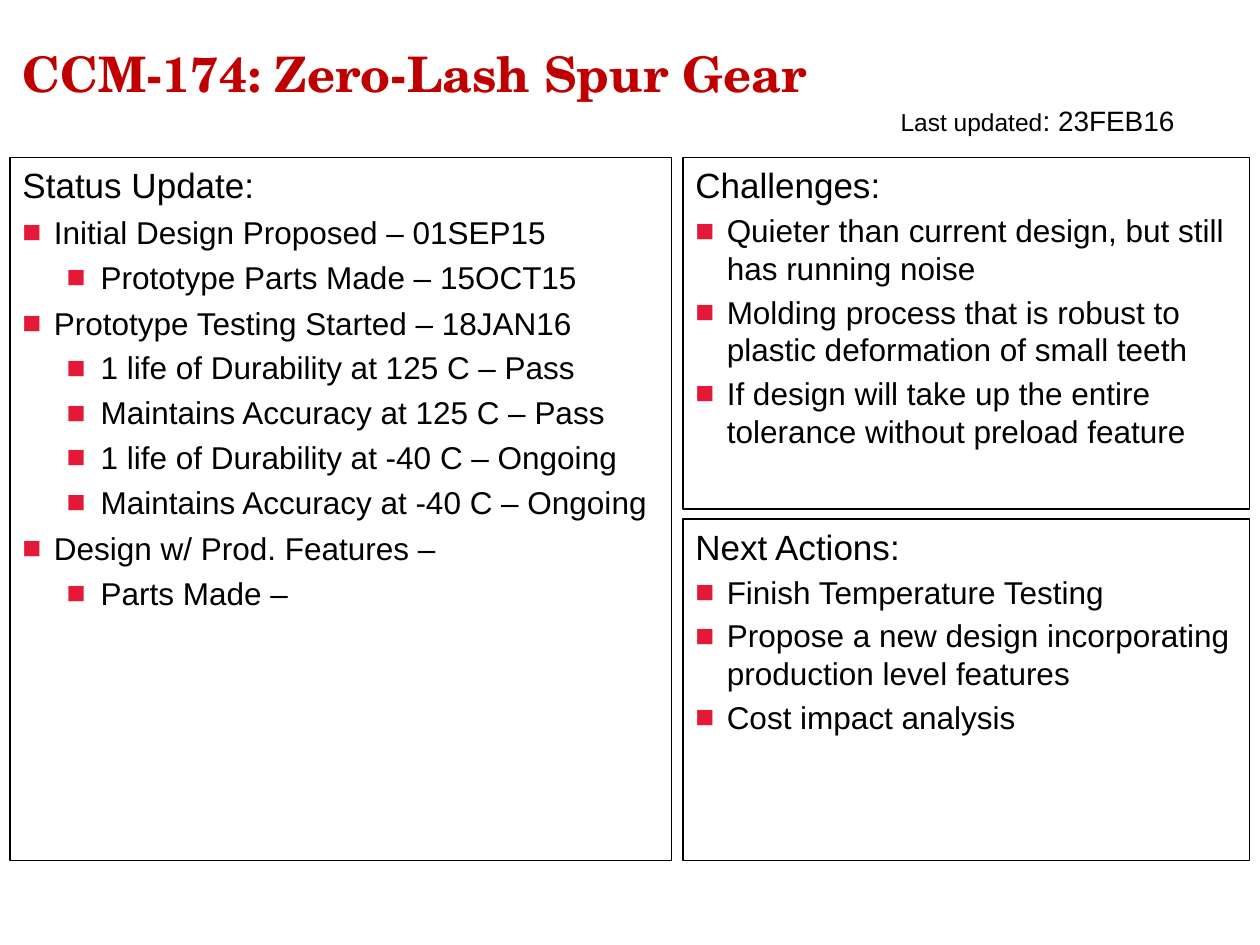
import dataclasses

import pptx
import pptx.dml.color
import pptx.enum.shapes
import pptx.enum.text
import pptx.oxml.ns
import pptx.util
from lxml import etree

Inches = pptx.util.Inches
Pt = pptx.util.Pt


@dataclasses.dataclass(frozen=True)
class Theme:
    ink: str = "000000"
    title_red: str = "C00000"
    bullet_red: str = "E31937"
    body_font: str = "Arial"
    title_font: str = "TeX Gyre Schola"
    title_size: float = 28
    heading_size: float = 20
    item_size: float = 18
    date_size: float = 16
    label_size: float = 14
    border: float = 0.75


THEME = Theme()

# Each item: level, space before in points, text
STATUS = [
    (0, 4, "Initial Design Proposed – 01SEP15"),
    (1, 4, "Prototype Parts Made – 15OCT15"),
    (0, 4.8, "Prototype Testing Started – 18JAN16"),
    (1, 4, "1 life of Durability at 125 C – Pass"),
    (1, 4, "Maintains Accuracy at 125 C – Pass"),
    (1, 4, "1 life of Durability at -40 C – Ongoing"),
    (1, 4, "Maintains Accuracy at -40 C – Ongoing"),
    (0, 4.8, "Design w/ Prod. Features –"),
    (1, 4, "Parts Made –"),
]
CHALLENGES = [
    (0, 3.2, "Quieter than current design, but still has running noise"),
    (0, 3.2, "Molding process that is robust to plastic deformation of small teeth"),
    (0, 3.2, "If design will take up the entire tolerance without preload feature"),
]
NEXT_ACTIONS = [
    (0, 3.2, "Finish Temperature Testing"),
    (0, 3.2, "Propose a new design incorporating production level features"),
    (0, 3.2, "Cost impact analysis"),
]
LEVEL_MARGINS = (0.25, 0.62)


def rgb(value):
    return pptx.dml.color.RGBColor.from_string(value)


def set_font(font, size, name=THEME.body_font, color=THEME.ink, bold=False):
    font.size = Pt(size)
    font.name = name
    font.color.rgb = rgb(color)
    font.bold = bold


def add_bullet(paragraph, margin, hanging):
    properties = paragraph._p.get_or_add_pPr()
    properties.set("marL", str(Inches(margin)))
    properties.set("indent", str(-Inches(hanging)))
    qn = pptx.oxml.ns.qn
    color = etree.SubElement(properties, qn("a:buClr"))
    etree.SubElement(color, qn("a:srgbClr"), val=THEME.bullet_red)
    etree.SubElement(properties, qn("a:buFont"), typeface=THEME.body_font)
    etree.SubElement(properties, qn("a:buChar"), char="■")


def add_panel(slide, box, heading, items, hanging):
    """Outlined panel with a heading and a bulleted list."""
    panel = slide.shapes.add_shape(
        pptx.enum.shapes.MSO_SHAPE.RECTANGLE, *map(Inches, box))
    panel.shadow.inherit = False
    panel.fill.background()
    panel.line.color.rgb = rgb(THEME.ink)
    panel.line.width = Pt(THEME.border)

    frame = panel.text_frame
    frame.word_wrap = True
    frame.vertical_anchor = pptx.enum.text.MSO_ANCHOR.TOP
    first = frame.paragraphs[0]
    first.text = heading
    first.alignment = pptx.enum.text.PP_ALIGN.LEFT
    set_font(first.font, THEME.heading_size)

    for level, space, text in items:
        item = frame.add_paragraph()
        item.text = text
        item.level = level
        item.alignment = pptx.enum.text.PP_ALIGN.LEFT
        item.space_before = Pt(space)
        add_bullet(item, LEVEL_MARGINS[level], hanging)
        set_font(item.font, THEME.item_size)


def add_text_frame(slide, box):
    frame = slide.shapes.add_textbox(*map(Inches, box)).text_frame
    frame.word_wrap = True
    return frame


def add_title(slide):
    frame = add_text_frame(slide, (0.08, 0.08, 6.67, 1))
    frame.vertical_anchor = pptx.enum.text.MSO_ANCHOR.MIDDLE
    title = frame.paragraphs[0]
    title.text = "CCM-174: Zero-Lash Spur Gear"
    set_font(title.font, THEME.title_size, THEME.title_font,
             THEME.title_red, bold=True)


def add_update_date(slide):
    updated = add_text_frame(slide, (5.42, 0.77, 4, 0.4)).paragraphs[0]
    updated.alignment = pptx.enum.text.PP_ALIGN.RIGHT
    for text, size in (("Last updated", THEME.label_size),
                       (": 23FEB16", THEME.date_size)):
        run = updated.add_run()
        run.text = text
        set_font(run.font, size)


def main():
    deck = pptx.Presentation()
    deck.slide_width, deck.slide_height = Inches(10), Inches(7.5)
    slide = deck.slides.add_slide(deck.slide_layouts[6])

    # Panels: status on the left, challenges above next actions on the right
    add_panel(slide, (0.08, 1.25, 5.25, 5.58), "Status Update:", STATUS, 0.27)
    add_panel(slide, (5.42, 1.25, 4.5, 2.79), "Challenges:", CHALLENGES, 0.3)
    add_panel(slide, (5.42, 4.12, 4.5, 2.71), "Next Actions:", NEXT_ACTIONS, 0.3)

    # Header
    add_update_date(slide)
    add_title(slide)

    deck.save("out.pptx")


if __name__ == "__main__":
    main()
